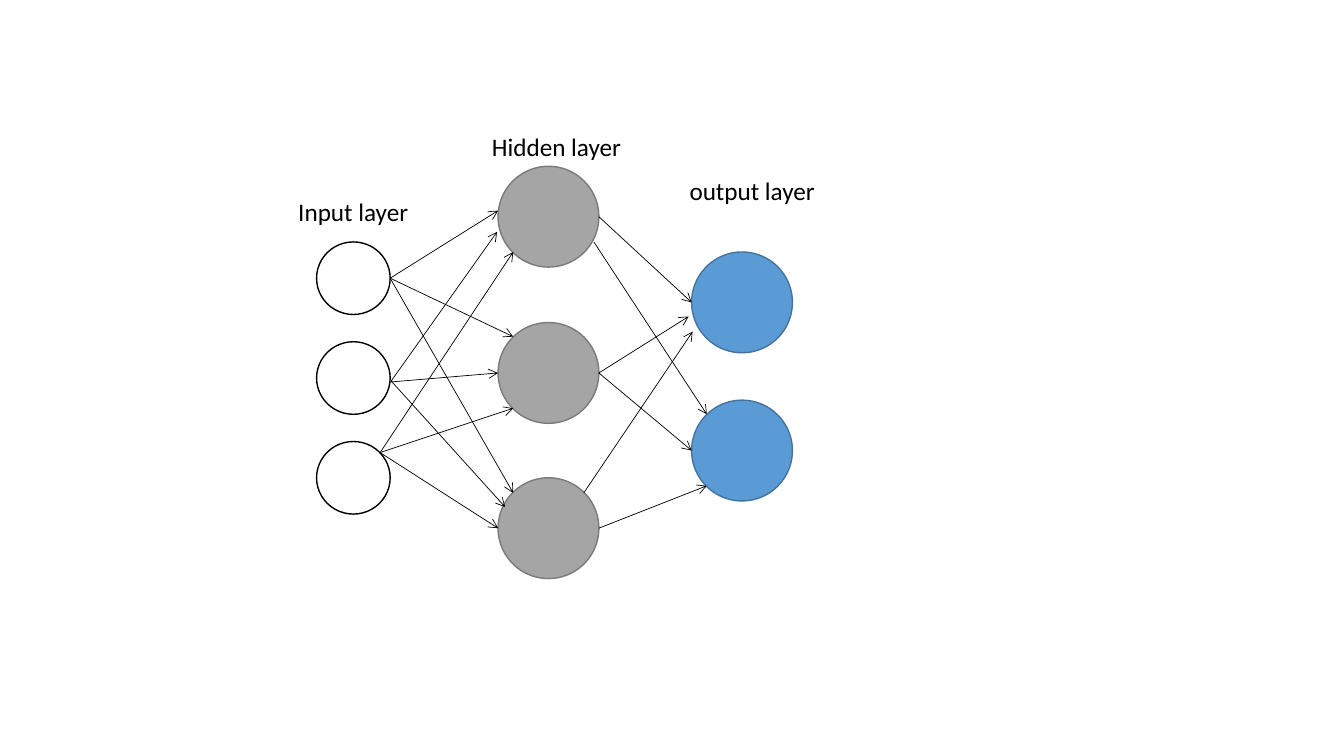
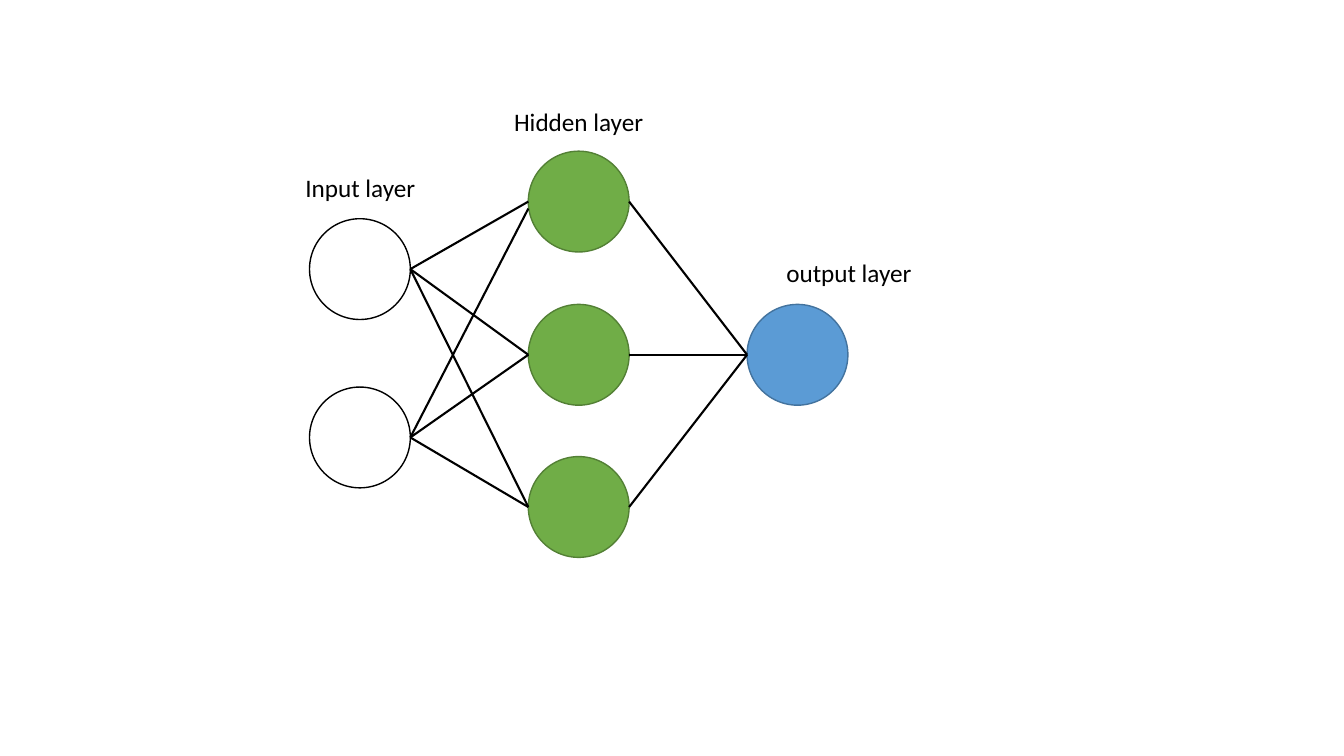
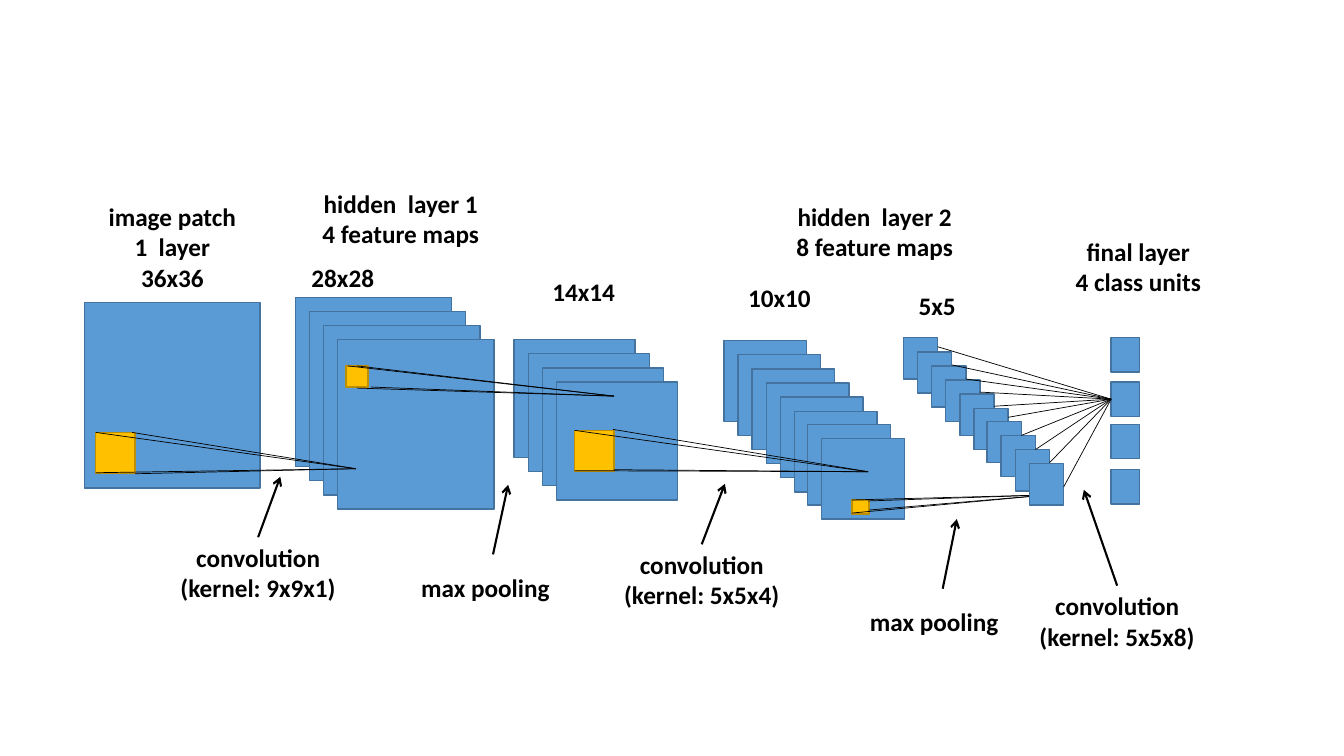
from lxml import etree
from pptx import Presentation
from pptx.dml.color import RGBColor
from pptx.enum.shapes import MSO_CONNECTOR, MSO_SHAPE
from pptx.enum.text import MSO_AUTO_SIZE, PP_ALIGN
from pptx.oxml.ns import qn
from pptx.util import Pt

PX = 9144  # EMU in one px, 100 px to the inch
CIRCLE, SQUARE = MSO_SHAPE.OVAL, MSO_SHAPE.RECTANGLE
STRAIGHT = MSO_CONNECTOR.STRAIGHT
LEFT, CENTER = PP_ALIGN.LEFT, PP_ALIGN.CENTER
FIT_TEXT = MSO_AUTO_SIZE.SHAPE_TO_FIT_TEXT
LEFT_SIDE = 1

BLACK = RGBColor(0x00, 0x00, 0x00)
WHITE = RGBColor(0xFF, 0xFF, 0xFF)
GRAY, GRAY_EDGE = RGBColor(0xA5, 0xA5, 0xA5), RGBColor(0x7A, 0x7A, 0x7A)
GREEN, GREEN_EDGE = RGBColor(0x70, 0xAD, 0x47), RGBColor(0x53, 0x80, 0x35)
BLUE, BLUE_EDGE = RGBColor(0x5B, 0x9B, 0xD5), RGBColor(0x43, 0x73, 0x9E)
GOLD, GOLD_EDGE = RGBColor(0xFF, 0xC0, 0x00), RGBColor(0xBD, 0x8E, 0x00)

INPUT_STYLE = (WHITE, BLACK)
GRAY_STYLE = (GRAY, GRAY_EDGE)
GREEN_STYLE = (GREEN, GREEN_EDGE)
BLUE_STYLE = (BLUE, BLUE_EDGE)
KERNEL_STYLE = (GOLD, GOLD_EDGE)


class Diagram:
    """Holds the presentation, its shared style and the current slide."""

    font = "Calibri"
    size = 18
    thin, thick = 0.5, 1.5
    map_step = 13.9  # px between stacked feature maps

    def __init__(self, width, height):
        self.deck = Presentation()
        self.deck.slide_width, self.deck.slide_height = width * PX, height * PX
        self.slide = None

    def new_slide(self):
        self.slide = self.deck.slides.add_slide(self.deck.slide_layouts[6])

    def shape(self, kind, box, style):
        shape = self.slide.shapes.add_shape(kind, *(v * PX for v in box))
        shape.shadow.inherit = False
        shape.fill.solid()
        shape.fill.fore_color.rgb, shape.line.color.rgb = style
        shape.line.width = Pt(1)
        return shape

    def neurons(self, left, tops, style, width=100, height=100):
        for top in tops:
            self.shape(CIRCLE, (left, top, width, height), style)

    def maps(self, left, top, width, height, count):
        """Draws overlapping feature maps and returns their right edges."""
        shifts = [round(i * self.map_step) for i in range(count)]
        for shift in shifts:
            self.shape(SQUARE, (left + shift, top + shift, width, height), BLUE_STYLE)
        return [left + shift + width for shift in shifts]

    def line(self, start, end, weight=thin, arrow=False, target=None):
        link = self.slide.shapes.add_connector(
            STRAIGHT, *(v * PX for v in (*start, *end)))
        link.line.color.rgb = BLACK
        link.line.width = Pt(weight)
        if arrow:
            outline = link._element.spPr.find(qn("a:ln"))
            etree.SubElement(outline, qn("a:tailEnd")).set("type", "arrow")
        etree.SubElement(link._element.spPr, qn("a:effectLst"))
        if target is not None:
            link.end_connect(target, LEFT_SIDE)

    def text(self, text, box, bold=False, align=LEFT):
        frame = self.slide.shapes.add_textbox(*(v * PX for v in box)).text_frame
        frame.word_wrap = False
        frame.auto_size = FIT_TEXT
        frame.text = text
        for paragraph in frame.paragraphs:
            paragraph.alignment = align
            font = paragraph.font
            font.name, font.size, font.bold = self.font, Pt(self.size), bold
            font.color.rgb = BLACK

    def layer_names(self, input_at, hidden_at, output_at):
        self.text("Input layer", (*input_at, 133, 40))
        self.text("Hidden layer", (*hidden_at, 152, 40))
        self.text("output layer", (*output_at, 148, 40))


def two_output_network(d):
    d.new_slide()
    d.neurons(494, (165, 320, 474), GRAY_STYLE)
    d.neurons(314, (240, 339, 438), INPUT_STYLE, 73, 72)
    d.neurons(686, (250, 397), BLUE_STYLE)

    # Arrow ends listed by where the arrows start
    arrows = {
        # input to hidden
        (387, 276): [(494, 209), (509, 489), (509, 334)],
        (387, 379): [(494, 370)],
        (388, 378): [(493, 230), (501, 503)],
        (377, 449): [(509, 250), (509, 405), (494, 524)],
        # hidden to output
        (594, 215): [(686, 300)],
        (589, 240): [(701, 411)],
        (594, 370): [(683, 314), (686, 447)],
        (579, 489): [(687, 329)],
        (594, 524): [(701, 482)],
    }
    for start, ends in arrows.items():
        for end in ends:
            d.line(start, end, arrow=True)
    d.layer_names((286, 190), (478, 125), (674, 169))


def one_output_network(d):
    d.new_slide()
    d.neurons(524, (150, 302, 453), GREEN_STYLE)
    d.neurons(307, (217, 384), INPUT_STYLE)
    d.neurons(741, (302,), BLUE_STYLE)

    # Every input meets every hidden neuron
    for input_y, hidden_ys in {267: (200, 352, 503), 434: (207, 352, 503)}.items():
        for hidden_y in hidden_ys:
            d.line((407, input_y), (524, hidden_y), d.thick)
    for hidden_y in (200, 352, 503):
        d.line((624, hidden_y), (741, 352), d.thick)
    d.layer_names((293, 166), (500, 101), (770, 250))


def convolutional_network(d):
    d.new_slide()

    # Image patch and feature maps
    d.shape(SQUARE, (84, 300, 174, 184), BLUE_STYLE)
    d.maps(293, 295, 155, 168, 4)
    d.maps(510, 337, 120, 117, 4)
    d.maps(718, 338, 82, 80, 8)

    # Kernels, each projected onto one point of the next layer
    kernels = [
        ((95, 429, 39, 41), (353, 465),
         [(95, 429), (131, 429), (95, 469), (134, 470)]),
        ((343, 363, 22, 21), (609, 393),
         [(345, 363), (354, 363), (354, 385), (368, 384)]),
        ((570, 427, 39, 41), (861, 468),
         [(570, 427), (608, 426), (570, 467), (609, 466)]),
        ((845, 496, 17, 14), (1039, 491),
         [(845, 496), (845, 509), (861, 497), (862, 506)]),
    ]
    for box, target, corners in kernels:
        d.shape(SQUARE, box, KERNEL_STYLE)
        for corner in corners:
            d.line(corner, target)

    # Last maps, all feeding the second class unit
    map_edges = d.maps(896, 335, 34, 41, 10)
    class_units = [d.shape(SQUARE, (1102, top, 28, 34), BLUE_STYLE)
                   for top in (335, 379, 421, 466)]
    exit_heights = (344, 362, 376, 389, 403, 414, 432, 446, 459, 483)
    for start in zip(map_edges, exit_heights):
        d.line(start, (1102, 396), target=class_units[1])

    # Arrows from the operation names
    for start, end in [((256, 533), (278, 473)), ((489, 550), (504, 481)),
                       ((696, 540), (719, 480)), ((935, 584), (949, 515)),
                       ((1108, 581), (1075, 486))]:
        d.line(start, end, d.thick, arrow=True)

    # Layer, size and operation names
    labels = [
        ("image patch\n1  layer\n36x36", (96, 195, 150, 101)),
        ("hidden  layer 1\n4 feature maps", (308, 182, 179, 71)),
        ("hidden  layer 2\n8 feature maps", (778, 195, 179, 71)),
        ("final layer\n4 class units", (1055, 229, 148, 71)),
        ("28x28", (297, 255, 86, 40)),
        ("14x14", (536, 269, 86, 40)),
        ("10x10", (730, 275, 86, 40)),
        ("5x5", (899, 283, 61, 40)),
        ("convolution\n(kernel: 9x9x1)", (167, 533, 178, 71)),
        ("max pooling", (406, 563, 151, 40)),
        ("convolution\n(kernel: 5x5x4)", (607, 540, 178, 71)),
        ("max pooling", (851, 597, 151, 40)),
        ("convolution\n(kernel: 5x5x8)", (1019, 581, 178, 71)),
    ]
    for label, box in labels:
        d.text(label, box, bold=True, align=CENTER)


def main():
    diagram = Diagram(1333, 750)
    two_output_network(diagram)
    one_output_network(diagram)
    convolutional_network(diagram)
    diagram.deck.save("out.pptx")


if __name__ == "__main__":
    main()
